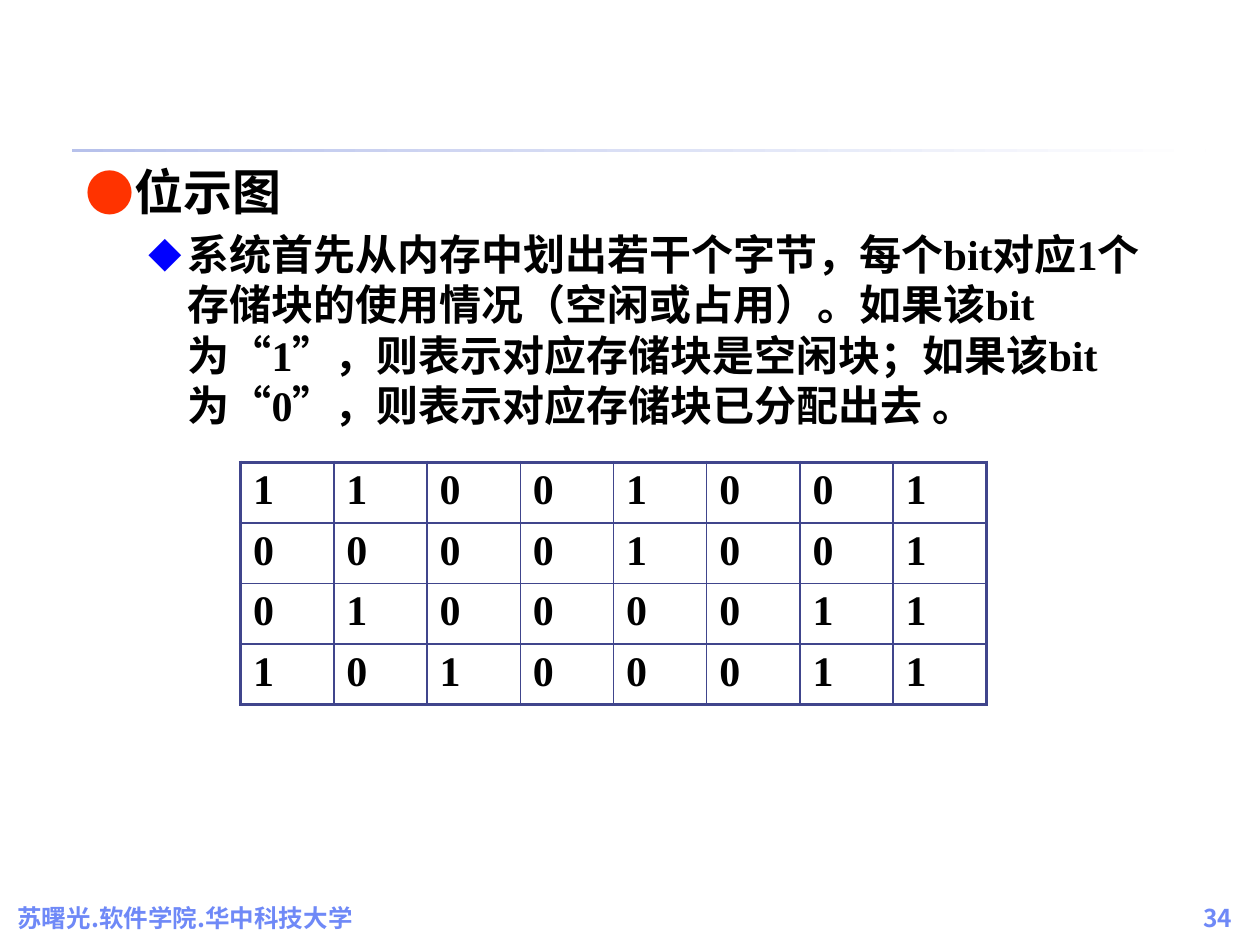
"""Build the bitmap slide: two bulleted paragraphs above a table of bits."""
from lxml import etree
from pptx import Presentation
from pptx.dml.color import RGBColor
from pptx.enum.shapes import MSO_SHAPE
from pptx.enum.text import MSO_ANCHOR, MSO_AUTO_SIZE, PP_ALIGN
from pptx.oxml.ns import qn
from pptx.util import Inches, Pt

RECTANGLE = MSO_SHAPE.RECTANGLE
TOP, BOTTOM = MSO_ANCHOR.TOP, MSO_ANCHOR.BOTTOM
LEFT, RIGHT = PP_ALIGN.LEFT, PP_ALIGN.RIGHT
NO_FIT = MSO_AUTO_SIZE.NONE

THEME = {
    "text": "000000", "footer": "6F89F7", "border": "40458C",
    "rule": ("B7C1EB", "FFFFFF"), "latin": "Times New Roman",
    "asian": "Noto Sans CJK SC", "footer_size": 14, "table_size": 24,
    "outer": 2.25, "inner": 1,
}
POINTS = [
    {"text": "位示图", "level": 0, "size": 28, "bullet": "●",
     "color": "FF3300", "scale": 100, "margin": 0.38, "hang": 0.38},
    {"text": "系统首先从内存中划出若干个字节，每个bit对应1个存储块的使用情况"
             "（空闲或占用）。如果该bit为“1”，则表示对应存储块是空闲块；"
             "如果该bit为“0”，则表示对应存储块已分配出去 。",
     "level": 1, "size": 24, "bullet": "◆",
     "color": "0000FF", "scale": 80, "margin": 0.81, "hang": 0.31},
]
FOOTERS = [
    ("苏曙光.软件学院.华中科技大学", 0.04, 4.67, LEFT),
    ("34", 8.78, 1.1, RIGHT),
]
BITS = ["11001001", "00001001", "01000011", "10100011"]


def add_span(para, text, size, color, latin):
    span = para.add_run()
    span.text = text
    formats = {"name": latin, "size": Pt(size), "bold": True}
    for name, value in formats.items():
        setattr(span.font, name, value)
    span.font.color.rgb = RGBColor.from_string(color)
    asian = etree.Element(qn("a:ea"), typeface=THEME["asian"])
    span.font._element.find(qn("a:latin")).addnext(asian)


def add_border(cell, side, width):
    line = etree.SubElement(cell._tc.get_or_add_tcPr(), qn(f"a:ln{side}"),
                            w=str(Pt(width)))
    fill = etree.SubElement(line, qn("a:solidFill"))
    etree.SubElement(fill, qn("a:srgbClr"), val=THEME["border"])


deck = Presentation()
deck.slide_width, deck.slide_height = Inches(10), Inches(7.5)
page = deck.slides.add_slide(deck.slide_layouts[1])
title = page.shapes.title._element
title.getparent().remove(title)

rule = page.shapes.add_shape(RECTANGLE, Inches(0.57), Inches(1.18),
                             Inches(9), Inches(0.03))
rule.shadow.inherit = False
rule.line.fill.background()
rule.fill.gradient()
rule.fill.gradient_angle = 0
for position, (stop, color) in enumerate(zip(rule.fill.gradient_stops, THEME["rule"])):
    stop.position = position
    stop.color.rgb = RGBColor.from_string(color)

for text, left, width, align in FOOTERS:
    box = page.shapes.add_textbox(Inches(left), Inches(6.95), Inches(width), Inches(0.5))
    box.text_frame.word_wrap = True
    box.text_frame.vertical_anchor = BOTTOM
    para = box.text_frame.paragraphs[0]
    para.alignment = align
    add_span(para, text, THEME["footer_size"], THEME["footer"], THEME["asian"])

body = page.placeholders[1]
placement = {"left": 0.58, "top": 1.23, "width": 8.59, "height": 5.51}
for name, value in placement.items():
    setattr(body, name, Inches(value))
frame = body.text_frame
frame.auto_size = NO_FIT
frame.vertical_anchor = TOP
for index, point in enumerate(POINTS):
    para = frame.add_paragraph() if index else frame.paragraphs[0]
    formats = {"level": point["level"], "space_before": Pt(point["size"] * 0.2),
               "line_spacing": Pt(point["size"] * 1.2)}
    for name, value in formats.items():
        setattr(para, name, value)
    add_span(para, point["text"], point["size"], THEME["text"], THEME["latin"])
    settings = para._p.get_or_add_pPr()
    settings.set("marL", str(Inches(point["margin"])))
    settings.set("indent", str(-Inches(point["hang"])))
    tint = etree.SubElement(settings, qn("a:buClr"))
    etree.SubElement(tint, qn("a:srgbClr"), val=point["color"])
    etree.SubElement(settings, qn("a:buSzPct"), val=str(point["scale"] * 1000))
    etree.SubElement(settings, qn("a:buFont"), typeface=THEME["asian"])
    etree.SubElement(settings, qn("a:buChar"), char=point["bullet"])

row_count, column_count = len(BITS), len(BITS[0])
table = page.shapes.add_table(row_count, column_count, Inches(1.91), Inches(3.67),
                              Inches(0.74 * column_count),
                              Inches(0.47 * row_count)).table
table.first_row = table.horz_banding = False
for row, bits in enumerate(BITS):
    for column, bit in enumerate(bits):
        cell = table.cell(row, column)
        cell.margin_top = cell.margin_bottom = Inches(0.04)
        para = cell.text_frame.paragraphs[0]
        para.space_before = Pt(THEME["table_size"] * 0.2)
        add_span(para, bit, THEME["table_size"], THEME["text"], THEME["latin"])
        edges = {"L": column == 0, "R": column == column_count - 1,
                 "T": row == 0, "B": row == row_count - 1}
        for side, is_outer in edges.items():
            add_border(cell, side, THEME["outer" if is_outer else "inner"])
        cell.fill.background()

deck.save("out.pptx")
